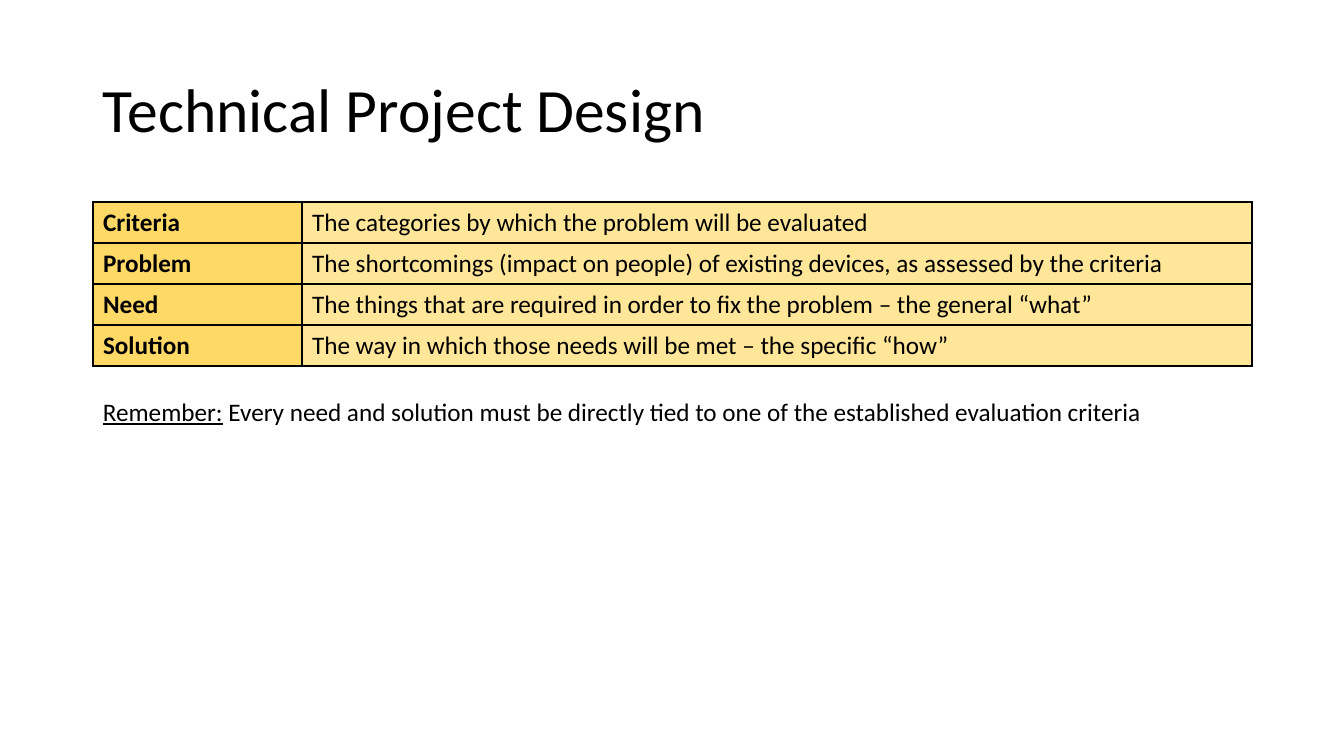
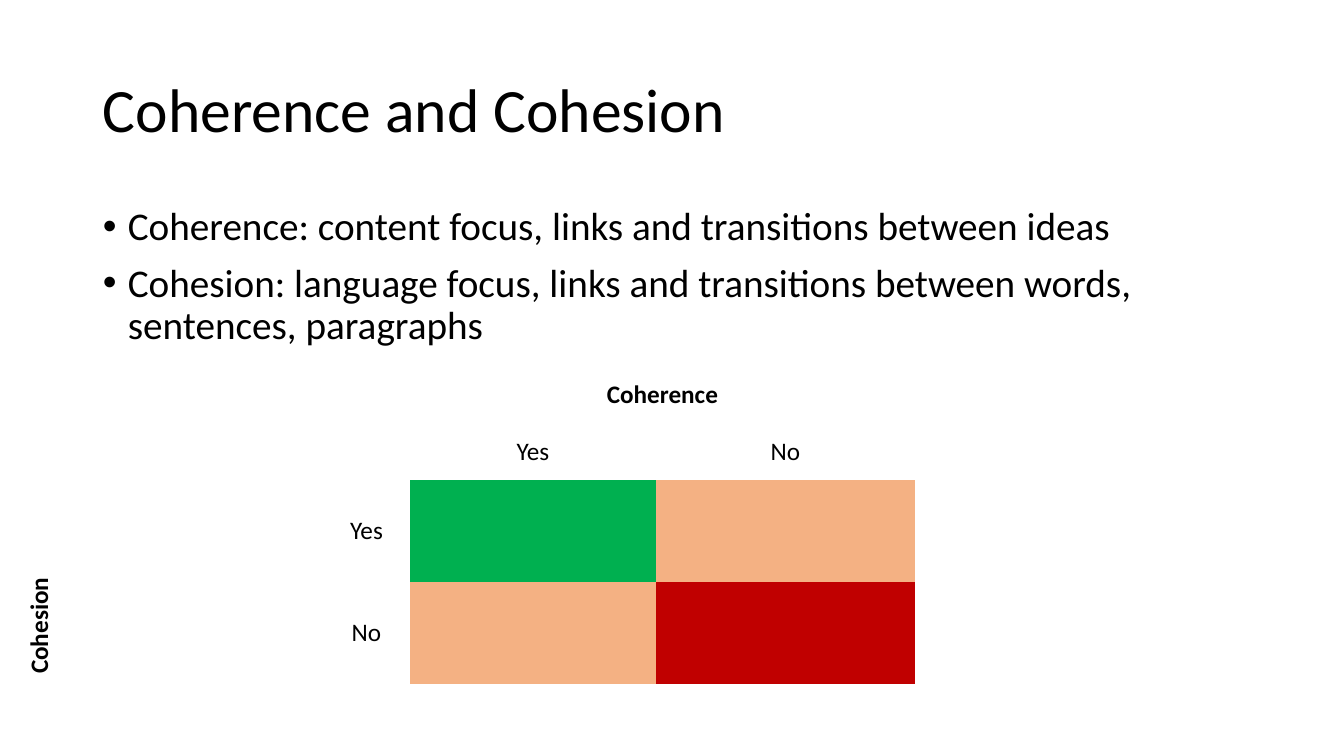
from dataclasses import dataclass

from lxml import etree
from pptx import Presentation
from pptx.dml.color import RGBColor
from pptx.enum.text import MSO_ANCHOR, PP_ALIGN
from pptx.oxml.ns import qn
from pptx.util import Pt

CENTER = PP_ALIGN.CENTER
TOP, MIDDLE, BOTTOM = MSO_ANCHOR.TOP, MSO_ANCHOR.MIDDLE, MSO_ANCHOR.BOTTOM
EMU_PER_PIXEL = 914400 / 100.8
BLANK_LAYOUT = 6
PLAIN_TABLE_STYLE = "{2D5ABB26-0587-4C30-8999-92F81FD0307C}"
LEFT, WIDTH = 93, 1159


@dataclass(frozen=True)
class Theme:
    """Font, colours and type sizes of the deck."""
    font: str = "Calibri"
    ink: str = "000000"
    term: str = "FFD966"
    meaning: str = "FFE699"
    good: str = "00B050"
    mixed: str = "F4B183"
    bad: str = "C00000"
    title: int = 44
    body: int = 28
    small: int = 18


THEME = Theme()


def px(pixels):
    """Turn pixels into EMU."""
    return round(pixels * EMU_PER_PIXEL)


def style_para(para, size, bold=False):
    """Set the font of a whole paragraph."""
    font = para.font
    font.name, font.size, font.bold = THEME.font, Pt(size), bold
    font.color.rgb = RGBColor.from_string(THEME.ink)


def add_text(page, top, height, lines, size, anchor=TOP):
    """Add a full-width text box and return its paragraphs."""
    box = page.shapes.add_textbox(px(LEFT), px(top), px(WIDTH), px(height))
    frame = box.text_frame
    frame.word_wrap = True
    frame.vertical_anchor = anchor
    frame.text = "\n".join(lines)
    for para in frame.paragraphs:
        style_para(para, size)
    return frame.paragraphs


def add_page(deck, title):
    """Add a blank page with the shared title."""
    page = deck.slides.add_slide(deck.slide_layouts[BLANK_LAYOUT])
    para = add_text(page, 40, 146, [title], THEME.title, MIDDLE)[0]
    para.line_spacing = 0.9
    return page


def add_bullets(page, top, height, lines):
    """Add a bulleted list with hanging indents."""
    for para in add_text(page, top, height, lines, THEME.body):
        para.line_spacing = 0.9
        para.space_before = Pt(10)
        properties = para._p.get_or_add_pPr()
        properties.set("marL", str(px(25)))
        properties.set("indent", str(-px(25)))
        etree.SubElement(properties, qn("a:buFont"), typeface="Arial")
        etree.SubElement(properties, qn("a:buChar"), char="•")


def add_plain_table(page, left, top, columns, rows):
    """Add an unstyled, unfilled table with given column widths and row heights."""
    frame = page.shapes.add_table(len(rows), len(columns), px(left), px(top),
                                  px(sum(columns)), px(sum(rows)))
    table = frame.table
    table.first_row = table.horz_banding = False
    for style in frame.element.iter(qn("a:tableStyleId")):
        style.text = PLAIN_TABLE_STYLE
    for column, width in zip(table.columns, columns):
        column.width = px(width)
    for row, height in zip(table.rows, rows):
        row.height = px(height)
    for cell in table.iter_cells():
        cell.fill.background()
    return table


def fill_cell(cell, color):
    """Give a cell a solid fill."""
    cell.fill.solid()
    cell.fill.fore_color.rgb = RGBColor.from_string(color)


def write_cell(cell, text, bold=False, align=None, anchor=TOP):
    """Write one styled paragraph into a cell."""
    cell.text = text
    cell.vertical_anchor = anchor
    para = cell.text_frame.paragraphs[0]
    para.alignment = align
    style_para(para, THEME.small, bold)


def border_cell(cell):
    """Draw a thin line on all four sides of a cell."""
    properties = cell._tc.get_or_add_tcPr()
    for position, side in enumerate(("lnL", "lnR", "lnT", "lnB")):
        line = etree.Element(qn("a:" + side), w=str(Pt(1)))
        solid = etree.SubElement(line, qn("a:solidFill"))
        etree.SubElement(solid, qn("a:srgbClr"), val=THEME.ink)
        properties.insert(position, line)


def add_glossary(page, entries):
    """Add a bordered table of terms and meanings."""
    table = add_plain_table(page, LEFT, 202, (209, 950), [41] * len(entries))
    for row, entry in enumerate(entries):
        for column, color in enumerate((THEME.term, THEME.meaning)):
            cell = table.cell(row, column)
            write_cell(cell, entry[column], bold=column == 0)
            border_cell(cell)
            fill_cell(cell, color)


def add_matrix(page, column_title, row_title, answers, colors):
    """Add a coloured matrix with a title on each axis."""
    table = add_plain_table(page, 19, 366, (304, 87, 246, 259), (57, 57, 102, 102))
    table.cell(0, 2).merge(table.cell(0, 3))
    write_cell(table.cell(0, 2), column_title, True, CENTER, MIDDLE)
    side = table.cell(2, 0)
    side.merge(table.cell(3, 0))
    write_cell(side, row_title, True, anchor=BOTTOM)
    side._tc.get_or_add_tcPr().set("vert", "vert270")
    for index, answer in enumerate(answers, start=2):
        for cell in (table.cell(1, index), table.cell(index, 1)):
            write_cell(cell, answer, align=CENTER, anchor=MIDDLE)
    for row, row_colors in enumerate(colors, start=2):
        for column, color in enumerate(row_colors, start=2):
            fill_cell(table.cell(row, column), color)


def add_reminder(page, label, text):
    """Add a note that opens with an underlined label."""
    para = add_text(page, 391, 40, [label], THEME.small)[0]
    para.runs[0].font.underline = True
    para.add_run().text = text


def main():
    """Build and save the deck."""
    deck = Presentation()
    deck.slide_width, deck.slide_height = px(1344), px(756)

    page = add_page(deck, "Technical Project Design")
    add_glossary(page, [
        ("Criteria", "The categories by which the problem will be evaluated"),
        ("Problem", "The shortcomings (impact on people) of existing devices, "
                    "as assessed by the criteria"),
        ("Need", "The things that are required in order to fix the problem "
                 "– the general “what”"),
        ("Solution", "The way in which those needs will be met – the specific “how”"),
    ])
    add_reminder(page, "Remember:", " Every need and solution must be directly tied "
                 "to one of the established evaluation criteria")

    page = add_page(deck, "Coherence and Cohesion")
    add_bullets(page, 202, 480, [
        "Coherence: content focus, links and transitions between ideas",
        "Cohesion: language focus, links and transitions between words, "
        "sentences, paragraphs",
    ])
    add_matrix(page, "Coherence", "Cohesion", ("Yes", "No"),
               ((THEME.good, THEME.mixed), (THEME.mixed, THEME.bad)))

    deck.save("out.pptx")


main()
